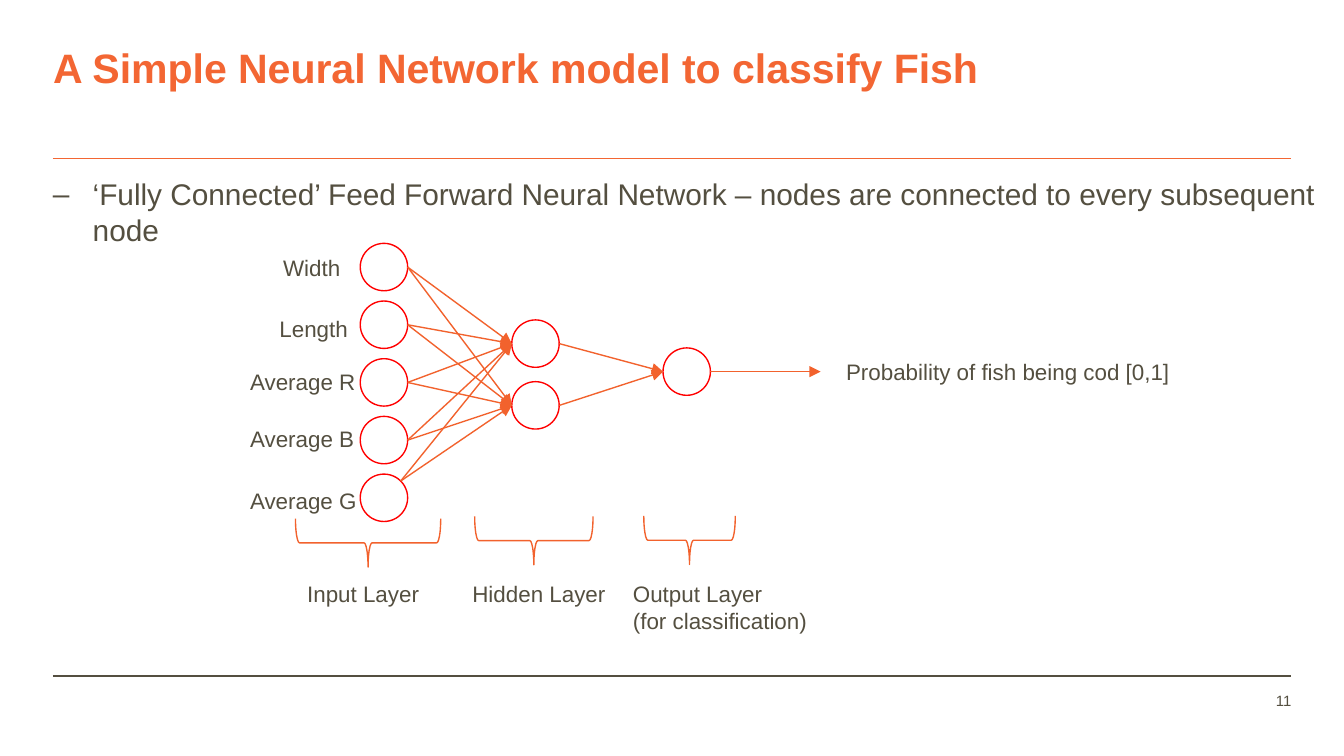
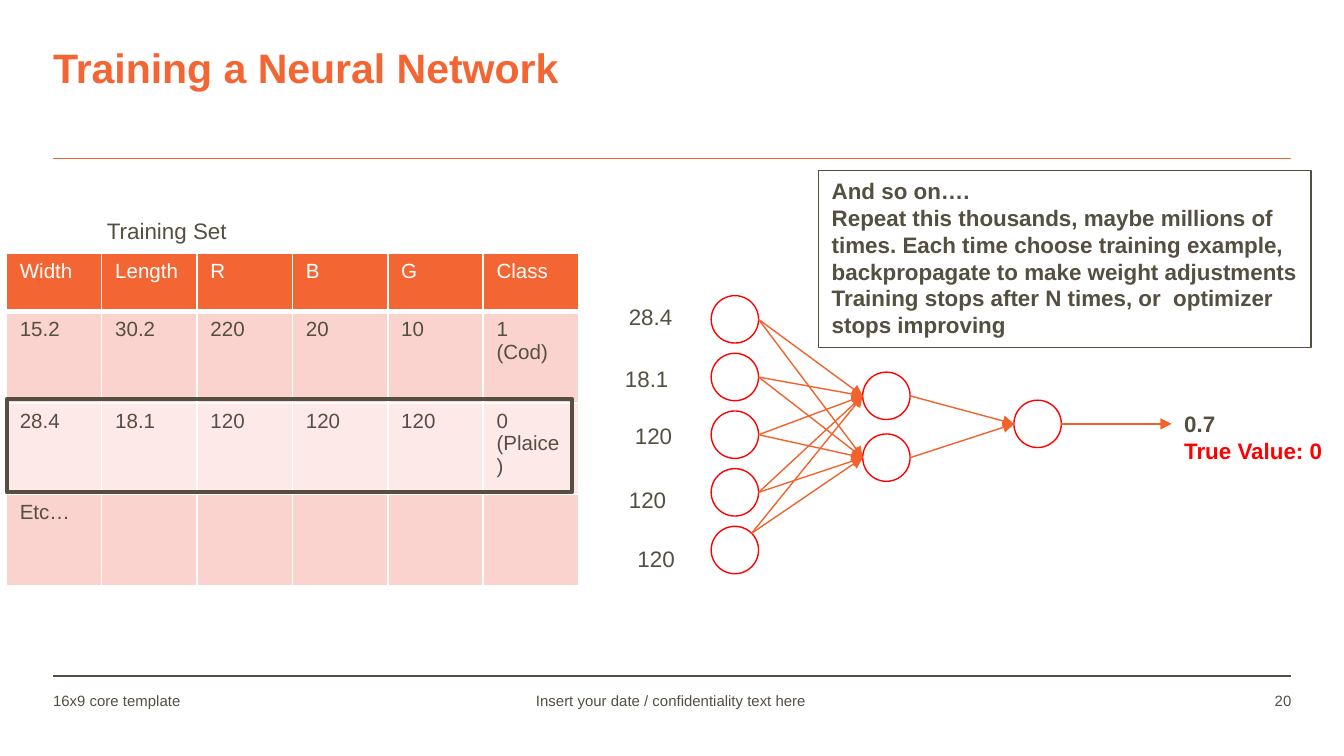
from lxml import etree
from pptx import Presentation
from pptx.dml.color import RGBColor
from pptx.enum.shapes import MSO_CONNECTOR, MSO_SHAPE
from pptx.enum.text import MSO_ANCHOR, MSO_AUTO_SIZE, PP_ALIGN
from pptx.oxml.ns import qn
from pptx.util import Pt

STRAIGHT = MSO_CONNECTOR.STRAIGHT
CIRCLE, RECTANGLE, BRACE = MSO_SHAPE.OVAL, MSO_SHAPE.RECTANGLE, MSO_SHAPE.LEFT_BRACE
LEFT, CENTER, RIGHT = PP_ALIGN.LEFT, PP_ALIGN.CENTER, PP_ALIGN.RIGHT
TOP, NO_FIT = MSO_ANCHOR.TOP, MSO_AUTO_SIZE.NONE

FONT = "Arial"
ORANGE, ARROW, INK, RED, WHITE = "F36633", "F2622D", "544F40", "FF0000", "FFFFFF"
ROW_FILLS = [ORANGE, "FAD3CE", "FDEAE8", "FAD3CE"]
MARGIN, RIGHT_EDGE = 28.4, 691.8
INSETS = (7.2, 3.6, 7.2, 3.6)

# Content: labels are (text, left, top, width)
MODEL = {
    "title": "A Simple Neural Network model to classify Fish",
    "number": "11",
    "bullet": "‘Fully Connected’ Feed Forward Neural Network – nodes are connected "
              "to every subsequent node",
    "network": (193, 130.4),
    "labels": [
        ("Width", 144.6, 132.6, 45.4),
        ("Length", 142.6, 165.4, 51.1),
        ("Average R", 126.9, 193.8, 71.3),
        ("Average B", 126.9, 224.2, 70.6),
        ("Average G", 126.9, 257.4, 72),
        ("Probability of fish being cod [0,1]", 446.2, 188.2, 189.4),
        ("Input Layer", 157.5, 307.3, 74.9),
        ("Hidden Layer", 246, 307.3, 86.4),
        ("Output Layer\n(for classification)", 332, 307.3, 112.3),
    ],
    # centre x, centre y, span
    "braces": [(197.2, 290.8, 77.8), (286, 289.6, 63.4), (369.4, 289.4, 49)],
}
TRAINING = {
    "title": "Training a Neural Network",
    "number": "20",
    "footer": "16x9 core template",
    "date": "Insert your date / confidentiality text here",
    "network": (381, 158.4),
    "labels": [
        ("28.4", 329.8, 159.1, 38.2),
        ("18.1", 327.7, 192.2, 38.2),
        ("120", 333, 222.7, 34.6),
        ("120", 329.8, 256.7, 34.6),
        ("120", 334.4, 288.4, 34.6),
        ("Training Set", 50.2, 112.6, 79.2),
    ],
    "result": "0.7\nTrue Value: 0",
    "table": [
        ["Width", "Length", "R", "B", "G", "Class"],
        ["15.2", "30.2", "220", "20", "10", "1 (Cod)"],
        ["28.4", "18.1", "120", "120", "120", "0 (Plaice)"],
        ["Etc…", "", "", "", "", ""],
    ],
    "callout": "And so on….\nRepeat this thousands, maybe millions of times. Each time "
               "choose training example, backpropagate to make weight adjustments\n"
               "Training stops after N times, or  optimizer stops improving",
}

# Network geometry, relative to the top left of the first input node
DIAMETER = 25.4
INPUTS = [(0, 30.9 * i) for i in range(5)]
HIDDEN = [(81.2, 41), (81.2, 74.1)]
OUTPUT = (162.2, 56)
OUTPUT_ARROW = 59


def color(value):
    return RGBColor.from_string(value)


def format_text(frame, size, ink=INK, bold=False, align=LEFT, insets=INSETS):
    frame.vertical_anchor = TOP
    frame.margin_left, frame.margin_top, frame.margin_right, frame.margin_bottom = map(Pt, insets)
    for paragraph in frame.paragraphs:
        paragraph.alignment = align
        for run in paragraph.runs:
            font = run.font
            font.name, font.size, font.bold = FONT, Pt(size), bold
            font.color.rgb = color(ink)


def add_text(slide, text, left, top, width, height=21.6, size=12, wrap=False, **style):
    box = slide.shapes.add_textbox(Pt(left), Pt(top), Pt(width), Pt(height))
    frame = box.text_frame
    frame.text = text
    frame.word_wrap = wrap
    format_text(frame, size, **style)
    return frame


def add_outline(shapes, kind, left, top, width, height, line, weight=0.75):
    shape = shapes.add_shape(kind, Pt(left), Pt(top), Pt(width), Pt(height))
    shape.shadow.inherit = False
    shape.fill.background()
    shape.line.color.rgb = color(line)
    shape.line.width = Pt(weight)
    return shape


def add_line(shapes, start, end, line, weight, arrow=False):
    connector = shapes.add_connector(STRAIGHT, *map(Pt, (*start, *end)))
    connector.line.color.rgb = color(line)
    connector.line.width = Pt(weight)
    properties = connector._element.spPr
    if arrow:
        etree.SubElement(properties.find(qn("a:ln")), qn("a:tailEnd"), type="triangle")
    etree.SubElement(properties, qn("a:effectLst"))


def add_base_slide(presentation, content):
    """Title, two rules and footer texts."""
    slide = presentation.slides.add_slide(presentation.slide_layouts[5])
    for y, line in ((362.2, INK), (84.9, ORANGE)):
        add_line(slide.shapes, (MARGIN, y), (RIGHT_EDGE, y), line, 1)
    title = slide.shapes.title
    title.left, title.top, title.width, title.height = map(Pt, (MARGIN, 23, 597, 26.6))
    title.text_frame.text = content["title"]
    title.text_frame.auto_size = NO_FIT
    format_text(title.text_frame, 22, ORANGE, bold=True, insets=(0, 0, 0, 0))

    footers = [
        ("footer", MARGIN, 202.3, LEFT, (0, 0, 0, 0)),
        ("date", 235, 249.1, CENTER, (5.8, 0, 5.8, 0)),
        ("number", 626.4, 65.4, RIGHT, (5.8, 0, 0, 0)),
    ]
    for key, left, width, align, insets in footers:
        if key in content:
            add_text(slide, content[key], left, 370.4, width, size=8, wrap=True,
                     align=align, insets=insets)
    return slide


def add_network(slide, left, top):
    shapes = slide.shapes.add_group_shape().shapes
    radius = DIAMETER / 2

    def place(x, y):
        return left + x, top + y

    def west(node):
        return place(node[0], node[1] + radius)

    def east(node):
        return place(node[0] + DIAMETER, node[1] + radius)

    for node in INPUTS + HIDDEN + [OUTPUT]:
        add_outline(shapes, CIRCLE, *place(*node), DIAMETER, DIAMETER, RED)

    # The lowest input connects from its upper right
    diagonal = radius * 0.71
    x, y = INPUTS[-1]
    starts = [east(node) for node in INPUTS[:-1]]
    starts.append(place(x + radius + diagonal, y + radius - diagonal))
    arrows = [(start, west(node)) for start in starts for node in HIDDEN]
    arrows += [(east(node), west(OUTPUT)) for node in HIDDEN]
    tip_x, tip_y = east(OUTPUT)
    arrows.append(((tip_x, tip_y), (tip_x + OUTPUT_ARROW, tip_y)))
    for start, end in arrows:
        add_line(shapes, start, end, ARROW, 0.75, arrow=True)


def add_labels(slide, labels):
    for text, left, top, width in labels:
        add_text(slide, text, left, top, width, 21.6 + 14.4 * text.count("\n"))


def set_borders(cell, bottom):
    properties = cell._tc.get_or_add_tcPr()
    sides = [("a:lnL", 1), ("a:lnR", 1), ("a:lnT", 1), ("a:lnB", bottom)]
    for position, (tag, weight) in enumerate(sides):
        border = etree.Element(qn(tag), w=str(Pt(weight)))
        fill = etree.SubElement(border, qn("a:solidFill"))
        etree.SubElement(fill, qn("a:srgbClr"), val=WHITE)
        properties.insert(position, border)


def add_training_table(slide, rows):
    heights = [31, 49, 49, 49]
    frame = slide.shapes.add_table(len(rows), len(rows[0]), Pt(3.4), Pt(135.8),
                                   Pt(306.6), Pt(sum(heights)))
    table = frame.table
    for column in table.columns:
        column.width = Pt(51.1)
    for i, values in enumerate(rows):
        table.rows[i].height = Pt(heights[i])
        for j, value in enumerate(values):
            cell = table.cell(i, j)
            cell.text = value
            cell.fill.solid()
            cell.fill.fore_color.rgb = color(ROW_FILLS[i])
            set_borders(cell, 1 if i else 3)
            format_text(cell.text_frame, 11, INK if i else WHITE)


def build_model_slide(presentation):
    slide = add_base_slide(presentation, MODEL)
    add_network(slide, *MODEL["network"])
    add_labels(slide, MODEL["labels"])

    # Braces under the layers
    depth = 26
    for x, y, span in MODEL["braces"]:
        brace = add_outline(slide.shapes, BRACE, x - depth / 2, y - span / 2, depth, span, ARROW)
        brace.rotation = 270

    # Bullet line
    frame = add_text(slide, MODEL["bullet"], MARGIN, 90.7, 707.8, 27.4, size=16, wrap=True,
                     insets=(0, 3.6, 7.2, 3.6))
    properties = frame.paragraphs[0]._p.get_or_add_pPr()
    properties.set("marL", str(Pt(21.3)))
    properties.set("indent", str(Pt(-21.3)))
    bullet_color = etree.SubElement(properties, qn("a:buClr"))
    etree.SubElement(bullet_color, qn("a:srgbClr"), val=INK)
    etree.SubElement(properties, qn("a:buFont"), typeface=FONT)
    etree.SubElement(properties, qn("a:buChar"), char="–")


def build_training_slide(presentation):
    slide = add_base_slide(presentation, TRAINING)
    add_network(slide, *TRAINING["network"])
    result = add_text(slide, TRAINING["result"], 627.3, 216.4, 89.3, 36, bold=True)
    result.paragraphs[1].runs[0].font.color.rgb = color(RED)
    add_labels(slide, TRAINING["labels"])
    add_training_table(slide, TRAINING["table"])

    # Callout, with a narrow right inset so that its longest line fits
    callout = add_outline(slide.shapes, RECTANGLE, 438.5, 91.3, 263.8, 95, INK)
    callout.text_frame.text = TRAINING["callout"]
    callout.text_frame.word_wrap = True
    format_text(callout.text_frame, 12, bold=True, insets=(7.2, 3.6, 3.6, 3.6))

    # Frame around the chosen example
    add_outline(slide.shapes, RECTANGLE, 3.7, 213.8, 302.6, 50, INK, 2.25)


def main():
    presentation = Presentation()
    presentation.slide_width, presentation.slide_height = Pt(720), Pt(405)
    build_model_slide(presentation)
    build_training_slide(presentation)
    presentation.save("out.pptx")


if __name__ == "__main__":
    main()
